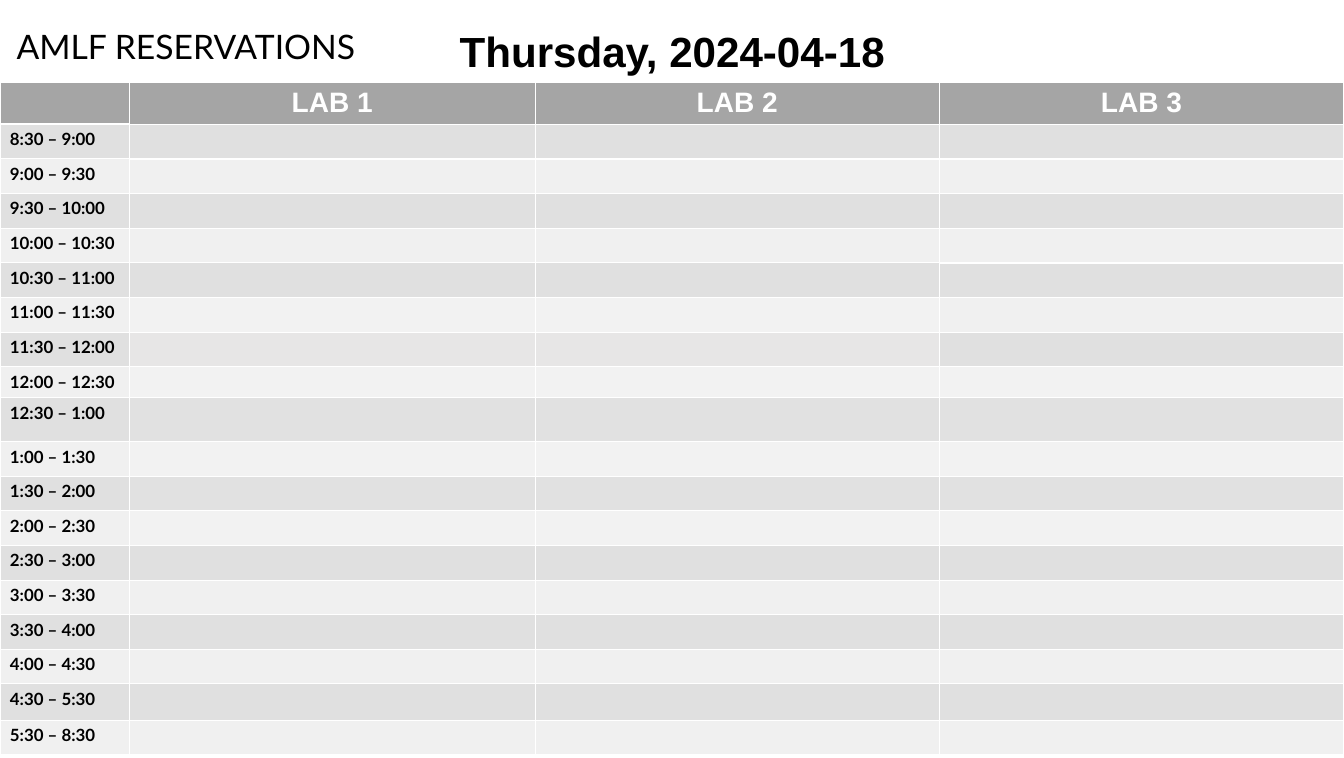
from itertools import pairwise

from lxml import etree
from pptx import Presentation
from pptx.dml.color import RGBColor
from pptx.enum.text import PP_ALIGN
from pptx.oxml.ns import qn
from pptx.util import Cm, Pt

LEFT, CENTER = PP_ALIGN.LEFT, PP_ALIGN.CENTER

BLACK = RGBColor(0x00, 0x00, 0x00)
WHITE = RGBColor(0xFF, 0xFF, 0xFF)
HEAD = RGBColor(0xA5, 0xA5, 0xA5)
DARK = RGBColor(0xE0, 0xE0, 0xE0)
LIGHT = RGBColor(0xF0, 0xF0, 0xF0)
MID_DARK = RGBColor(0xE1, 0xE1, 0xE1)
MID_LIGHT = RGBColor(0xF2, 0xF2, 0xF2)
NOON = RGBColor(0xE7, 0xE6, 0xE6)

# Schedule: each slot runs from one mark to the next
LABS = ["LAB 1", "LAB 2", "LAB 3"]
MARKS = ("8:30 9:00 9:30 10:00 10:30 11:00 11:30 12:00 12:30 1:00 "
         "1:30 2:00 2:30 3:00 3:30 4:00 4:30 5:30 8:30").split()
SLOTS = [f"{start} – {end}" for start, end in pairwise(MARKS)]

# Sizes in cm
WIDTHS = [6.5, 20.4, 20.32, 20.32]
HEAD_TALL, SLOT_TALL = 2.1, 1.74
TALL = {8: 1.56, 9: 2.21, 17: 1.81}

# Cells (row, column) with a heavy line below
HEAVY = {(0, 0), (1, 1), (1, 2), (1, 3), (4, 3)}


def write(frame, text, font="Lato", size=24, color=BLACK, bold=False,
          align=LEFT):
    para = frame.paragraphs[0]
    para.alignment = align
    run = para.add_run()
    run.text = text
    run.font.name = font
    run.font.size = Pt(size)
    run.font.bold = bold
    run.font.color.rgb = color


def shade(row, col):
    """Banded fill; the midday lab cells have their own tints."""
    if row == 0:
        return HEAD
    odd = row % 2
    first = 8 if col == 3 else 6
    if col and first <= row <= 12:
        if row == 7:
            return NOON
        return MID_DARK if odd else MID_LIGHT
    return DARK if odd else LIGHT


def edge(cell, top, base):
    """White lines around a cell, with top and base widths in points."""
    props = cell._tc.get_or_add_tcPr()
    sides = [("lnL", 1), ("lnR", 1), ("lnT", top), ("lnB", base)]
    for spot, (tag, width) in enumerate(sides):
        line = etree.Element(qn(f"a:{tag}"), w=str(Pt(width)))
        fill = etree.SubElement(line, qn("a:solidFill"))
        etree.SubElement(fill, qn("a:srgbClr"), val=str(WHITE))
        props.insert(spot, line)


class Board:
    def __init__(self, slide):
        self.slide = slide

    def label(self, text, left, top, width, height, inset=0.13, **style):
        box = self.slide.shapes.add_textbox(
            Cm(left), Cm(top), Cm(width), Cm(height))
        frame = box.text_frame
        frame.word_wrap = True
        frame.margin_top = Cm(inset)
        write(frame, text, align=CENTER, **style)

    def grid(self, left, top):
        talls = [HEAD_TALL] + [TALL.get(row, SLOT_TALL)
                               for row in range(1, len(SLOTS) + 1)]
        table = self.slide.shapes.add_table(
            len(talls), len(WIDTHS), Cm(left), Cm(top),
            Cm(sum(WIDTHS)), Cm(sum(talls))).table
        for col, width in zip(table.columns, WIDTHS):
            col.width = Cm(width)
        for line, tall in zip(table.rows, talls):
            line.height = Cm(tall)

        for row in range(len(talls)):
            for col in range(len(WIDTHS)):
                self.cell(table.cell(row, col), row, col)

    def cell(self, cell, row, col):
        cell.margin_left = cell.margin_right = Cm(0.5)
        cell.margin_top = cell.margin_bottom = Cm(0.25)
        cell.fill.solid()
        cell.fill.fore_color.rgb = shade(row, col)
        edge(cell, 3 if (row - 1, col) in HEAVY else 1,
             3 if (row, col) in HEAVY else 1)
        if row == 0 and col:
            write(cell.text_frame, LABS[col - 1], font="Arial", size=40,
                  color=WHITE, bold=True, align=CENTER)
        elif row and col == 0:
            write(cell.text_frame, SLOTS[row - 1], bold=True)


def main():
    deck = Presentation()
    deck.slide_width, deck.slide_height = Cm(67.56), Cm(38.1)
    board = Board(deck.slides.add_slide(deck.slide_layouts[6]))

    # Timetable
    board.grid(0, 4.14)

    # Date and heading
    board.label("Thursday, 2024-04-18", 17.73, 0.58, 32.13, 3.07, inset=0.69,
                font="Arial", size=60, bold=True)
    board.label("AMLF RESERVATIONS", -2.51, 1.17, 23.72, 2.31, size=48)

    deck.save("out.pptx")


if __name__ == "__main__":
    main()
